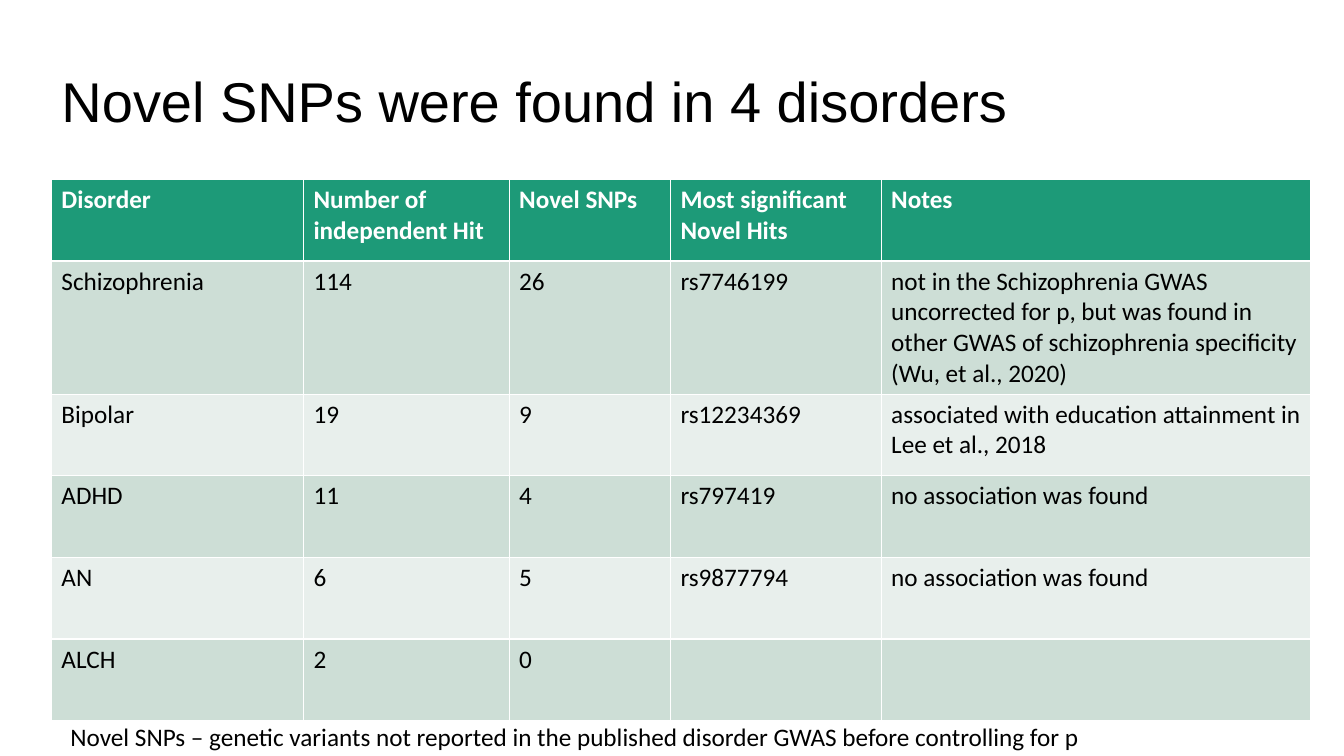
"""Build a slide with a table of novel SNPs found per disorder."""
from pptx import Presentation, util as u
from pptx.dml.color import RGBColor
from pptx.enum import text

HEADLINE = "Novel SNPs were found in 4 disorders"
HEADER = ("Disorder", "Number of independent Hit", "Novel SNPs",
          "Most significant Novel Hits", "Notes")
DISORDERS = [
    ("Schizophrenia", "114", "26", "rs7746199",
     "not in the Schizophrenia GWAS uncorrected for p, but was found in "
     "other GWAS of schizophrenia specificity (Wu, et al., 2020)"),
    ("Bipolar", "19", "9", "rs12234369",
     "associated with education attainment in Lee et al., 2018"),
    ("ADHD", "11", "4", "rs797419", "no association was found"),
    ("AN", "6", "5", "rs9877794", "no association was found"),
    ("ALCH", "2", "0", "", ""),
]
FOOTNOTE = ("Novel SNPs – genetic variants not reported in the published "
            "disorder GWAS before controlling for p")

COLORS = {"header": "1D9A78", "odd": "CDDED6", "even": "E8EFEC",
          "ink": "000000", "paper": "FFFFFF"}
WIDTH, HEIGHT = 13.33, 7.5
LEFT, TABLE_TOP = 0.51, 1.78
COLUMNS = (2.5, 2.04, 1.6, 2.09, 4.26)
ROW, TALL_ROW = 0.81, 1.31


def write(frame, words, size=18, font="Calibri", color="ink", bold=False,
          spacing=1.0, anchor=text.MSO_ANCHOR.TOP):
    frame.word_wrap = True
    frame.auto_size = text.MSO_AUTO_SIZE.NONE
    frame.vertical_anchor = anchor
    line = frame.paragraphs[0]
    line.text = words
    line.alignment = text.PP_ALIGN.LEFT
    line.line_spacing = spacing
    line.font.size = u.Pt(size)
    line.font.name = font
    line.font.bold = bold
    line.font.color.rgb = RGBColor.from_string(COLORS[color])


def main():
    deck = Presentation()
    deck.slide_width, deck.slide_height = u.Inches(WIDTH), u.Inches(HEIGHT)
    slide = deck.slides.add_slide(deck.slide_layouts[5])

    headline = slide.shapes.title
    headline.left, headline.top = u.Inches(LEFT), u.Inches(0.65)
    headline.width, headline.height = u.Inches(10.97), u.Inches(0.78)
    write(headline.text_frame, HEADLINE, size=40, font="Arial", spacing=0.9,
          anchor=text.MSO_ANCHOR.MIDDLE)

    rows = [HEADER] + DISORDERS
    heights = [TALL_ROW if r == 1 else ROW for r in range(len(rows))]
    findings = slide.shapes.add_table(
        len(rows), len(COLUMNS), u.Inches(LEFT), u.Inches(TABLE_TOP),
        u.Inches(sum(COLUMNS)), u.Inches(sum(heights))).table
    for column, width in zip(findings.columns, COLUMNS):
        column.width = u.Inches(width)
    for r, (entries, height) in enumerate(zip(rows, heights)):
        findings.rows[r].height = u.Inches(height)
        band = "header" if r == 0 else ("even", "odd")[r % 2]
        for c, entry in enumerate(entries):
            cell = findings.cell(r, c)
            cell.fill.solid()
            cell.fill.fore_color.rgb = RGBColor.from_string(COLORS[band])
            write(cell.text_frame, entry, bold=r == 0,
                  color="paper" if r == 0 else "ink")

    footnote = slide.shapes.add_textbox(
        u.Inches(0.6), u.Inches(7.11), u.Inches(10.74), u.Inches(0.4))
    write(footnote.text_frame, FOOTNOTE)

    deck.save("out.pptx")


if __name__ == "__main__":
    main()
